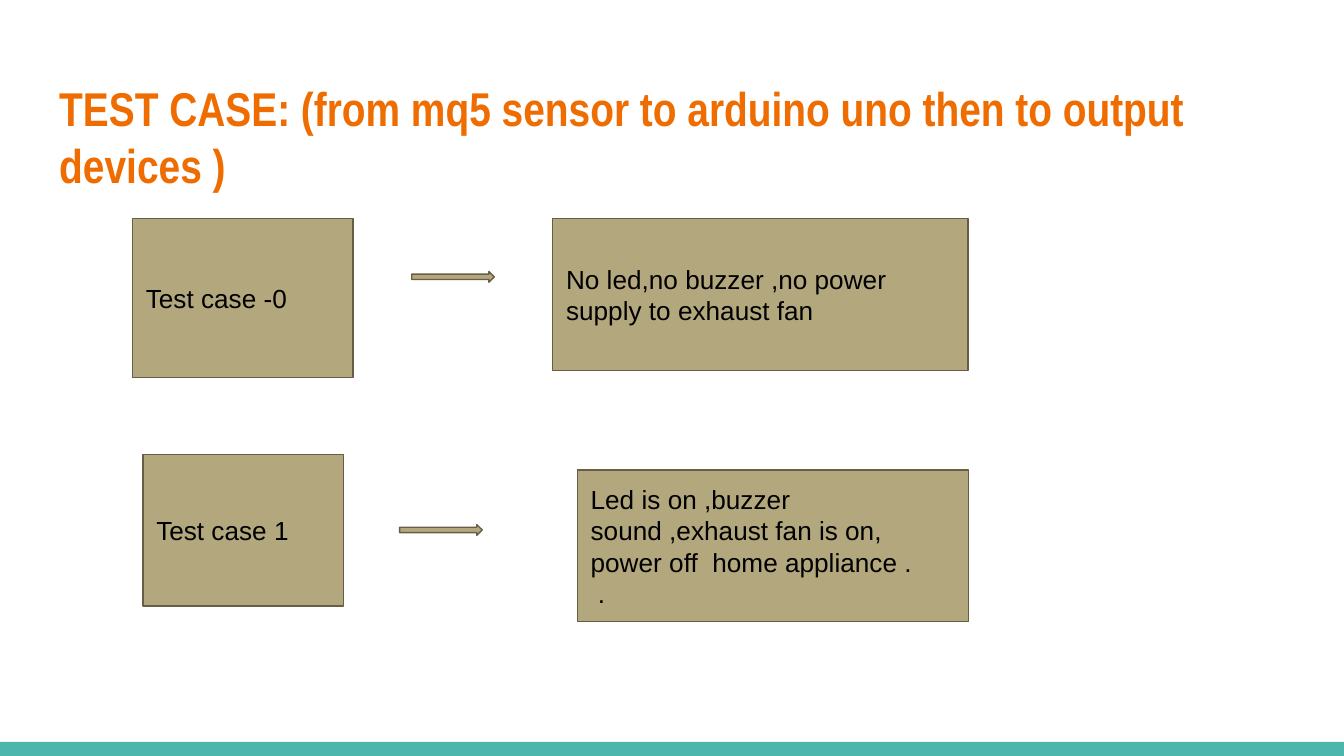
"""Build the sensor test case slide."""
import dataclasses
import typing

import pptx
import pptx.dml.color
import pptx.enum.shapes
import pptx.enum.text
import pptx.util

COLUMNS = 1000
CELL = pptx.util.Inches(0.01)
SLIDE_WIDTH = CELL * COLUMNS
SLIDE_HEIGHT = SLIDE_WIDTH * 9 // 16
COLOURS = {
    "title": "EF6C00",
    "band": "4DB6AC",
    "fill": "B3A77D",
    "outline": "695D46",
    "text": "000000",
}
SHAPES = pptx.enum.shapes.MSO_SHAPE
ANCHORS = pptx.enum.text.MSO_ANCHOR


@dataclasses.dataclass(frozen=True)
class Area:
    column: float
    row: float
    columns: float
    rows: float

    def lengths(self) -> typing.List[int]:
        return [round(CELL * cells) for cells in dataclasses.astuple(self)]


@dataclasses.dataclass(frozen=True)
class Lettering:
    font: str
    size: float
    colour: str
    bold: bool
    anchor: typing.Any


@dataclasses.dataclass(frozen=True)
class TestCase:
    name: str
    outcome: typing.Tuple[str, ...]
    name_area: Area
    arrow_area: Area
    outcome_area: Area


BAND = Area(0, 552, COLUMNS, 10.5)
TITLE = Lettering("Arial Narrow", 25.4, "title", True, ANCHORS.TOP)
LABEL = Lettering("Arial", 14, "text", False, ANCHORS.MIDDLE)
TEST_CASES = (
    TestCase(
        "Test case -0",
        ("No led,no buzzer ,no power supply to exhaust fan",),
        Area(98.7, 162.7, 164, 118.4),
        Area(306.4, 202, 61.4, 8),
        Area(411.3, 162.7, 309, 113),
    ),
    TestCase(
        "Test case 1",
        (
            "Led is on ,buzzer sound ,exhaust fan is on,",
            "power off  home appliance .",
            " .",
        ),
        Area(106.4, 338, 149, 113),
        Area(297.4, 390.3, 61.4, 8),
        Area(429.7, 349.8, 290.8, 112.8),
    ),
)


def colour(name: str) -> pptx.dml.color.RGBColor:
    return pptx.dml.color.RGBColor.from_string(COLOURS[name])


def write(box: typing.Any, lines: typing.Sequence[str], style: Lettering) -> None:
    frame = box.text_frame
    frame.word_wrap = True
    frame.vertical_anchor = style.anchor
    frame.margin_left = frame.margin_right = pptx.util.Inches(0.1)
    frame.margin_top = frame.margin_bottom = pptx.util.Inches(0.1)
    frame.text = "\n".join(lines)
    for paragraph in frame.paragraphs:
        paragraph.alignment = pptx.enum.text.PP_ALIGN.LEFT
        paragraph.font.name = style.font
        paragraph.font.size = pptx.util.Pt(style.size)
        paragraph.font.bold = style.bold
        paragraph.font.color.rgb = colour(style.colour)


def draw_shape(
    page: typing.Any,
    kind: typing.Any,
    area: Area,
    fill: str = "fill",
    outline: typing.Optional[str] = "outline",
) -> typing.Any:
    shape = page.shapes.add_shape(kind, *area.lengths())
    shape.shadow.inherit = False
    shape.fill.solid()
    shape.fill.fore_color.rgb = colour(fill)
    if outline:
        shape.line.color.rgb = colour(outline)
        shape.line.width = pptx.util.Pt(0.75)
    else:
        shape.line.fill.background()
    return shape


def draw_test_case(page: typing.Any, case: TestCase) -> None:
    write(draw_shape(page, SHAPES.RECTANGLE, case.name_area), [case.name], LABEL)
    draw_shape(page, SHAPES.RIGHT_ARROW, case.arrow_area)
    write(draw_shape(page, SHAPES.RECTANGLE, case.outcome_area), case.outcome, LABEL)


def main() -> None:
    deck = pptx.Presentation()
    deck.slide_width = SLIDE_WIDTH
    deck.slide_height = SLIDE_HEIGHT
    page = deck.slides.add_slide(deck.slide_layouts[6])
    draw_shape(page, SHAPES.RECTANGLE, BAND, "band", None)
    title = page.shapes.add_textbox(*Area(34.2, 49, 932, 77).lengths())
    write(title, ["TEST CASE: (from mq5 sensor to arduino uno then to output devices )"], TITLE)
    for case in TEST_CASES:
        draw_test_case(page, case)
    deck.save("out.pptx")


if __name__ == "__main__":
    main()
